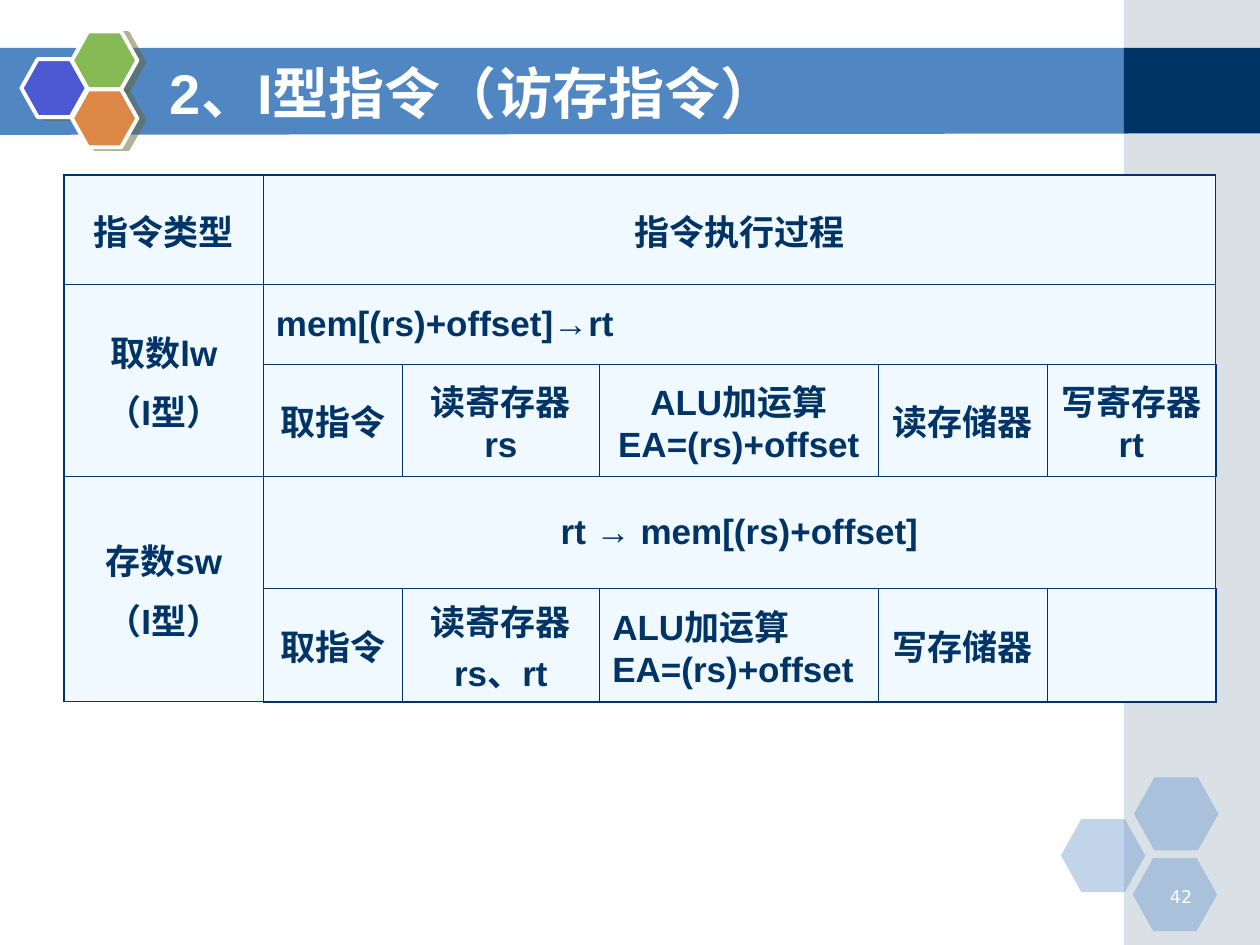
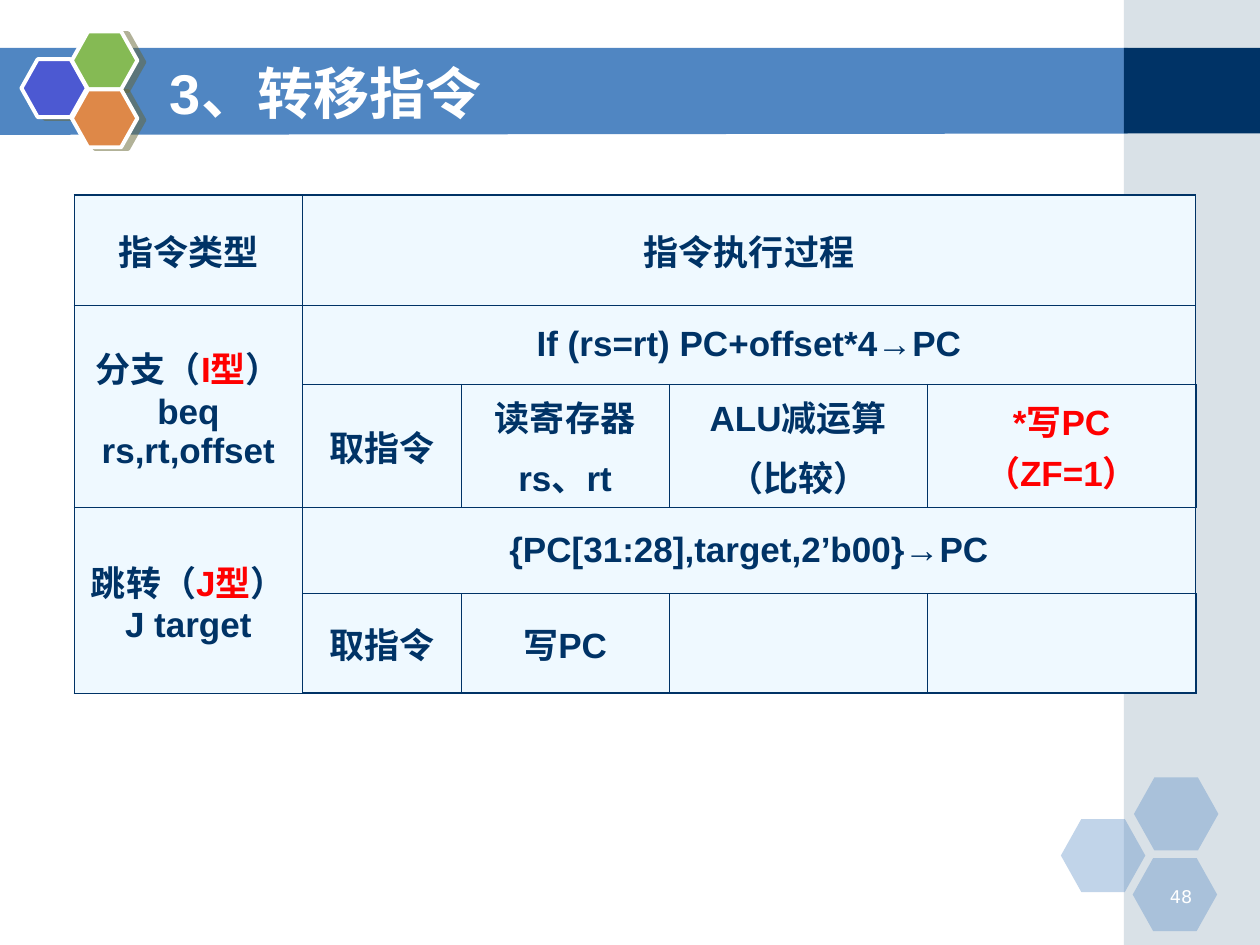
from dataclasses import dataclass

from lxml import etree
from pptx import Presentation
from pptx.dml.color import RGBColor
from pptx.enum.shapes import MSO_SHAPE
from pptx.enum.text import MSO_ANCHOR, PP_ALIGN
from pptx.oxml.ns import qn
from pptx.util import Emu, Inches, Pt

HEXAGON, RECTANGLE = MSO_SHAPE.HEXAGON, MSO_SHAPE.RECTANGLE
LEFT, CENTER, RIGHT = PP_ALIGN.LEFT, PP_ALIGN.CENTER, PP_ALIGN.RIGHT
TOP, MIDDLE = MSO_ANCHOR.TOP, MSO_ANCHOR.MIDDLE

# The slide is a grid of 100 columns and 75 rows.
WIDTH, HEIGHT = Inches(10), Inches(7.5)
COLUMN, ROW = WIDTH / 100, HEIGHT / 75

WHITE, NAVY, RED = "FFFFFF", "003366", "FF0000"
BAND_BLUE, SIDE_GREY, CELL_BLUE = "5086C2", "A0B5C4", "EFF9FF"
SHADOW_OLIVE = "666633"

TITLE_FORMAT = {"name": "Arial", "size": Pt(32), "bold": True}
CELL_FORMAT = {"name": "Arial", "size": Pt(20), "bold": True}
NUMBER_FORMAT = {"name": "DejaVu Sans", "size": Pt(10), "bold": False}
PARAGRAPH_GAP = Pt(5)
OUTER_BORDER, INNER_BORDER = Pt(1.08), Pt(0.45)
EMPHASIS = "|"


@dataclass(frozen=True)
class Area:
    left: float
    top: float
    width: float
    height: float

    def lengths(self) -> tuple[Emu, ...]:
        return (columns(self.left), rows(self.top),
                columns(self.width), rows(self.height))


@dataclass(frozen=True)
class Block:
    area: Area
    fill: str
    kind: int = RECTANGLE
    opacity: int = 100
    raised: bool = False


@dataclass(frozen=True)
class Entry:
    """Text of one table cell; parts between bars are emphasised."""
    row: int
    column: int
    paragraphs: tuple[str, ...]
    row_span: int = 1
    column_span: int = 1
    align: int = CENTER


@dataclass(frozen=True)
class InstructionSlide:
    title: str
    number: str
    left: float
    top: float
    column_widths: tuple[float, ...]
    row_heights: tuple[float, ...]
    entries: tuple[Entry, ...]


BACKDROP = (
    Block(Area(89.2, 0, 10.8, 75), SIDE_GREY, opacity=40),
    Block(Area(89.2, 3.8, 10.8, 6.8), NAVY),
    *(Block(Area(left, top, 6.7, 5.8), BAND_BLUE, HEXAGON, opacity=35)
      for left, top in ((84.2, 65), (90, 61.7), (89.9, 68.1))),
    *(Block(Area(left, top, 5.2, 4.6), fill, HEXAGON, raised=True)
      for left, top, fill in ((1.7, 4.7, "4C59D2"), (5.7, 2.5, "85BA54"),
                              (5.7, 7.1, "DE8848"))),
)
BAND_CORNERS = ((0, 3.8), (89.5, 3.8), (89.5, 10.6), (0, 10.7))
TITLE_AREA = Area(12.5, 4.2, 80.8, 6.2)
NUMBER_AREA = Area(90.6, 69.8, 5, 2.5)


def header(steps: int) -> tuple[Entry, ...]:
    return (Entry(0, 0, ("指令类型",)),
            Entry(0, 1, ("指令执行过程",), column_span=steps))


def instruction(row: int, steps: int, name: tuple[str, ...], effect: str,
                stages: tuple[Entry, ...],
                effect_align: int = CENTER) -> tuple[Entry, ...]:
    """Name on the left, effect on top, and the stages below it."""
    return (Entry(row, 0, name, row_span=2),
            Entry(row, 1, (effect,), column_span=steps, align=effect_align),
            Entry(row + 1, 1, ("取指令",)), *stages)


ADDRESS_STAGE = ("ALU加运算EA=(rs)+offset",)

SLIDES = (
    InstructionSlide(
        "2、I型指令（访存指令）", "42", 5.1, 13.9,
        (15.8, 11, 15.7, 22.1, 13.4, 13.4), (8.7, 6.3, 8.9, 8.9, 9),
        (*header(5),
         *instruction(1, 5, ("取数lw", "（I型）"), "mem[(rs)+offset]→rt",
                      (Entry(2, 2, ("读寄存器rs",)),
                       Entry(2, 3, ADDRESS_STAGE),
                       Entry(2, 4, ("读存储器",)),
                       Entry(2, 5, ("写寄存器rt",))), LEFT),
         *instruction(3, 5, ("存数sw", "（I型）"), "rt → mem[(rs)+offset]",
                      (Entry(4, 2, ("读寄存器rs、rt",)),
                       Entry(4, 3, ADDRESS_STAGE, align=LEFT),
                       Entry(4, 4, ("写存储器",)))))),
    InstructionSlide(
        "3、转移指令", "48", 5.9, 15.5,
        (18.1, 12.6, 16.5, 20.5, 21.3), (8.7, 6.3, 9.8, 6.8, 7.9),
        (*header(4),
         *instruction(1, 4, ("分支（|I型|） beq rs,rt,offset",),
                      "If (rs=rt) PC+offset*4→PC",
                      (Entry(2, 2, ("读寄存器", "rs、rt")),
                       Entry(2, 3, ("ALU减运算", "（比较）")),
                       Entry(2, 4, ("|*写PC（ZF=1）|",)))),
         *instruction(3, 4, ("跳转（|J型|） J target",),
                      "{PC[31:28],target,2’b00}→PC",
                      (Entry(4, 2, ("写PC",)),)))),
)


def columns(count: float) -> Emu:
    return Emu(round(count * COLUMN))


def rows(count: float) -> Emu:
    return Emu(round(count * ROW))


def color(value: str) -> RGBColor:
    return RGBColor.from_string(value)


def add_element(parent, tag: str, **attributes):
    return etree.SubElement(parent, qn(tag),
                            {key: str(value) for key, value in attributes.items()})


def paint(shape, fill: str) -> None:
    shape.fill.solid()
    shape.fill.fore_color.rgb = color(fill)
    shape.line.fill.background()
    shape.shadow.inherit = False


def raise_shape(shape) -> None:
    """Add a white outline and a hard shadow to the right."""
    shape.line.color.rgb = color(WHITE)
    shape.line.width = Pt(2.25)
    effects = shape.element.spPr.find(qn("a:effectLst"))
    shadow = add_element(effects, "a:outerShdw", dist=Pt(4.1),
                         dir=14 * 60000, algn="ctr", rotWithShape=0)
    tint = add_element(shadow, "a:srgbClr", val=SHADOW_OLIVE)
    add_element(tint, "a:alpha", val=50000)


def add_block(page, block: Block) -> None:
    shape = page.shapes.add_shape(block.kind, *block.area.lengths())
    paint(shape, block.fill)
    if block.kind == HEXAGON:
        shape.adjustments[0] = 0.28
    if block.opacity < 100:
        tint = shape.element.spPr.find(qn("a:solidFill"))[0]
        add_element(tint, "a:alpha", val=block.opacity * 1000)
    if block.raised:
        raise_shape(shape)


def add_band(page) -> None:
    corners = [(columns(x), rows(y)) for x, y in BAND_CORNERS]
    builder = page.shapes.build_freeform(*corners[0])
    builder.add_line_segments(corners[1:], close=True)
    paint(builder.convert_to_shape(), BAND_BLUE)


def add_span(para, text: str, text_format: dict, text_color: str) -> None:
    span = para.add_run()
    span.text = text
    for name, value in text_format.items():
        setattr(span.font, name, value)
    span.font.color.rgb = color(text_color)


def add_label(page, area: Area, text: str, text_format: dict,
              align: int, anchor: int) -> None:
    frame = page.shapes.add_textbox(*area.lengths()).text_frame
    frame.word_wrap = True
    frame.vertical_anchor = anchor
    para = frame.paragraphs[0]
    para.alignment = align
    add_span(para, text, text_format, WHITE)


def style_cell(cell, outer_sides: dict[str, bool]) -> None:
    """Draw the borders, heavier on the table's edge, then the fill."""
    properties = cell._tc.get_or_add_tcPr()
    for side, is_outer in outer_sides.items():
        line = add_element(properties, f"a:ln{side}",
                           w=OUTER_BORDER if is_outer else INNER_BORDER)
        add_element(add_element(line, "a:solidFill"), "a:srgbClr", val=NAVY)
    cell.fill.solid()
    cell.fill.fore_color.rgb = color(CELL_BLUE)
    cell.vertical_anchor = MIDDLE


def fill_entry(table, entry: Entry) -> None:
    cell = table.cell(entry.row, entry.column)
    if entry.row_span > 1 or entry.column_span > 1:
        cell.merge(table.cell(entry.row + entry.row_span - 1,
                              entry.column + entry.column_span - 1))
    frame = cell.text_frame
    for index, text in enumerate(entry.paragraphs):
        para = frame.add_paragraph() if index else frame.paragraphs[0]
        para.alignment = entry.align
        if index:
            para.space_before = PARAGRAPH_GAP
        for part, words in enumerate(text.split(EMPHASIS)):
            if words:
                add_span(para, words, CELL_FORMAT, RED if part % 2 else NAVY)


def add_instruction_table(page, content: InstructionSlide) -> None:
    widths, heights = content.column_widths, content.row_heights
    area = Area(content.left, content.top, sum(widths), sum(heights))
    table = page.shapes.add_table(len(heights), len(widths),
                                  *area.lengths()).table
    table.first_row = table.horz_banding = False
    for column, width in zip(table.columns, widths):
        column.width = columns(width)
    for row, height in zip(table.rows, heights):
        row.height = rows(height)
    last_row, last_column = len(heights) - 1, len(widths) - 1
    for y in range(len(heights)):
        for x in range(len(widths)):
            style_cell(table.cell(y, x), {"L": x == 0, "R": x == last_column,
                                          "T": y == 0, "B": y == last_row})
    for entry in content.entries:
        fill_entry(table, entry)


def add_slide(deck, content: InstructionSlide) -> None:
    page = deck.slides.add_slide(deck.slide_layouts[6])
    add_band(page)
    for block in BACKDROP:
        add_block(page, block)
    add_label(page, NUMBER_AREA, content.number, NUMBER_FORMAT, RIGHT, TOP)
    add_label(page, TITLE_AREA, content.title, TITLE_FORMAT, LEFT, MIDDLE)
    add_instruction_table(page, content)


def main() -> None:
    deck = Presentation()
    deck.slide_width, deck.slide_height = WIDTH, HEIGHT
    for content in SLIDES:
        add_slide(deck, content)
    deck.save("out.pptx")


if __name__ == "__main__":
    main()
